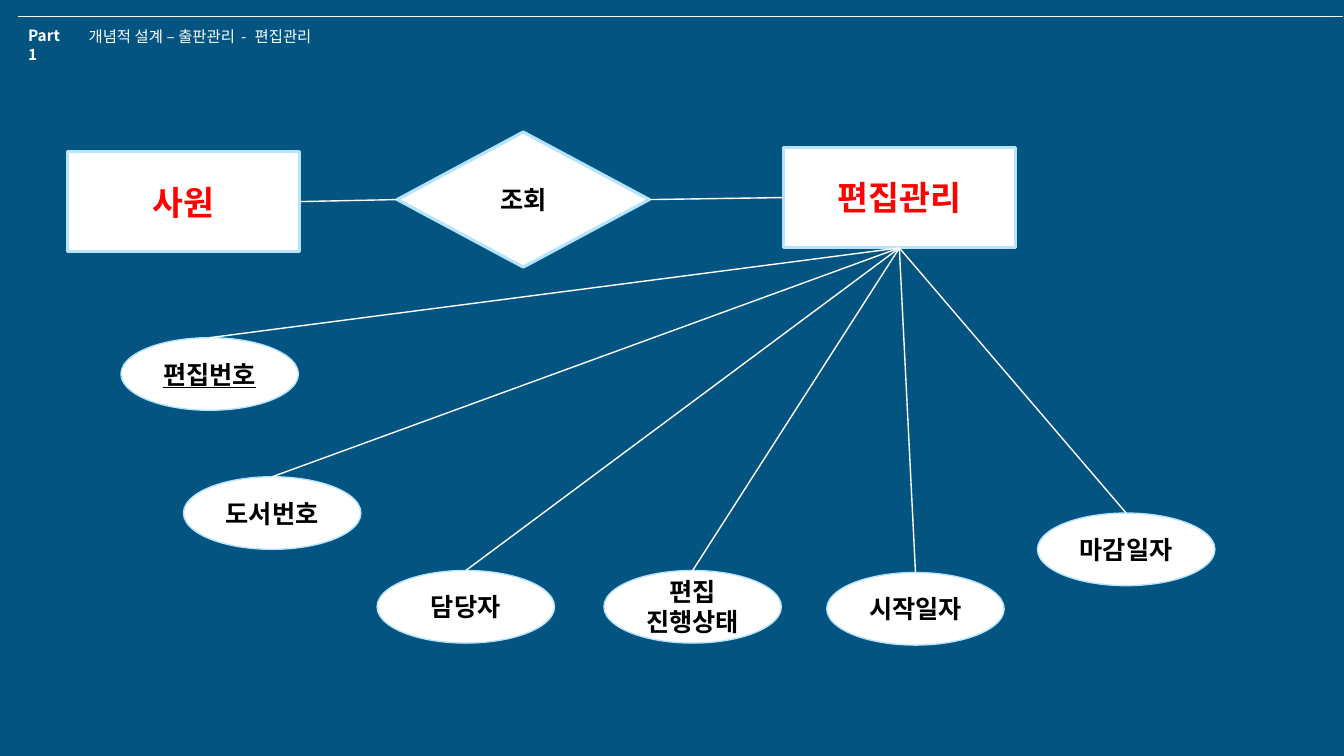
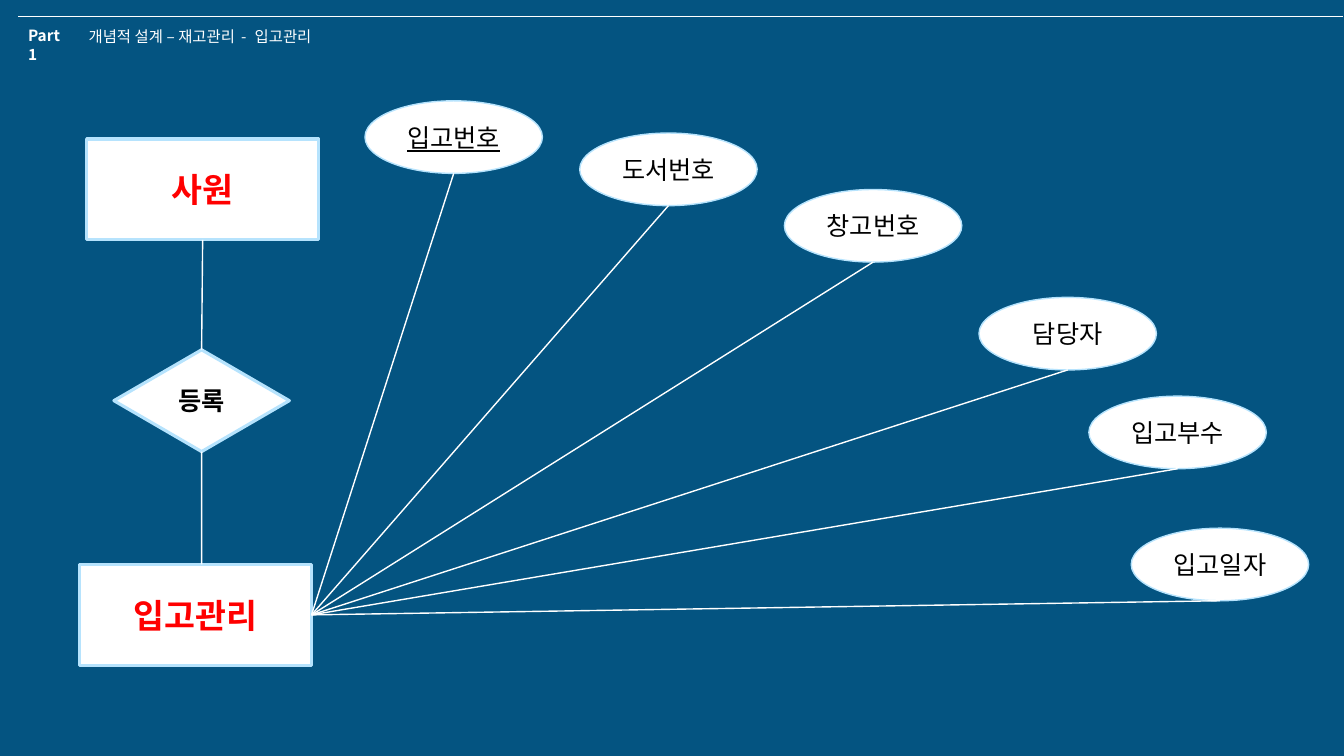
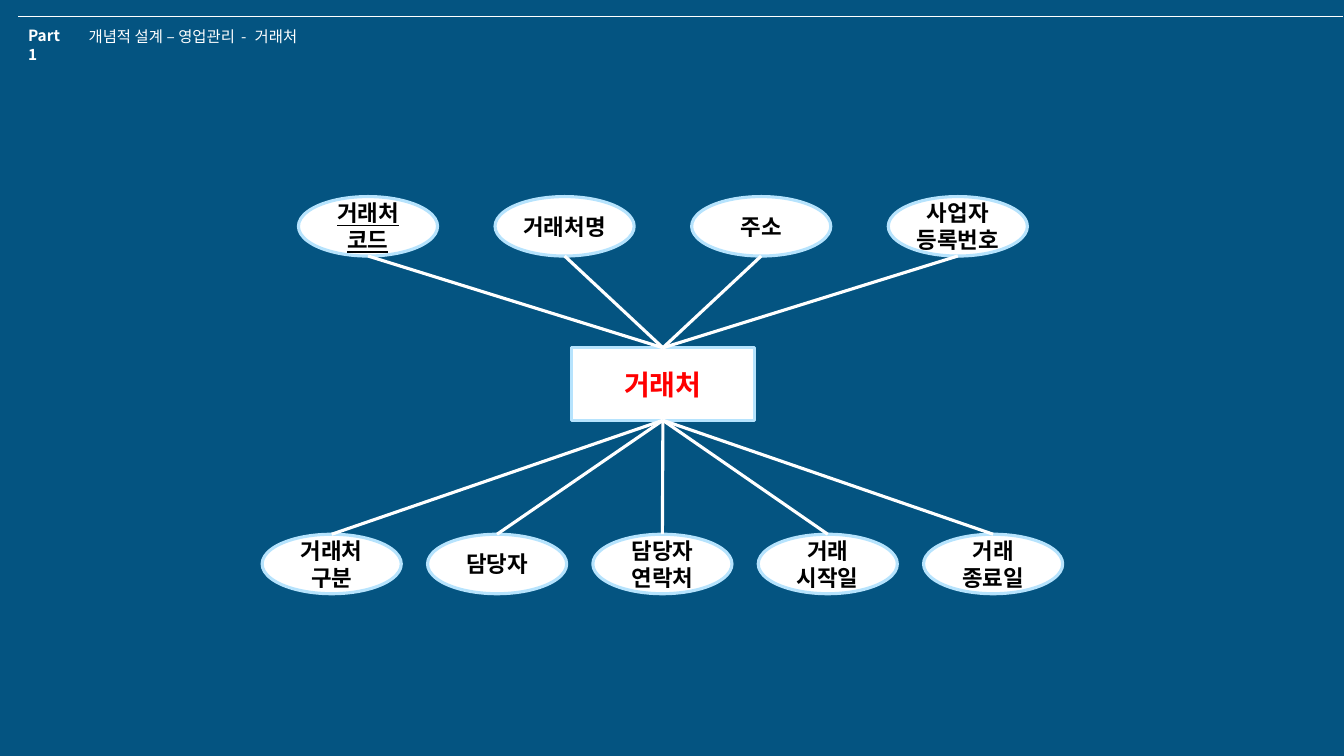
from lxml import etree
from pptx import Presentation
from pptx.dml.color import RGBColor
from pptx.enum.shapes import MSO_CONNECTOR, MSO_SHAPE
from pptx.enum.text import MSO_ANCHOR, PP_ALIGN
from pptx.oxml.ns import qn
from pptx.util import Inches, Pt

NAVY = RGBColor(0x04, 0x54, 0x81)
WHITE = RGBColor(0xFF, 0xFF, 0xFF)
SKY = RGBColor(0xB6, 0xE3, 0xFD)
RED = RGBColor(0xFF, 0x00, 0x00)
BLACK = RGBColor(0x00, 0x00, 0x00)
FONT = "Noto Sans CJK KR"

RECTANGLE = MSO_SHAPE.RECTANGLE
DIAMOND = MSO_SHAPE.FLOWCHART_DECISION
ELLIPSE = MSO_SHAPE.OVAL
STRAIGHT = MSO_CONNECTOR.STRAIGHT
CENTER = PP_ALIGN.CENTER
MIDDLE = MSO_ANCHOR.MIDDLE
TOP, LEFT, BOTTOM, RIGHT = range(4)


class Diagram:
    def __init__(self):
        self.deck = Presentation()
        self.deck.slide_width = Inches(13.33)
        self.deck.slide_height = Inches(7.5)
        self.page = None

    def start_page(self, area, topic):
        self.page = self.deck.slides.add_slide(self.deck.slide_layouts[6])
        fill = self.page.background.fill
        fill.solid()
        fill.fore_color.rgb = NAVY
        self.line((Inches(0.18), Inches(0.16)), (Inches(13.32), Inches(0.16)), 0.5)
        para = self.label(0.78, 0.22, 2.51)
        self.span(para, f"개념적 설계 – {area}", 11, WHITE)
        dash = self.span(para, " - ", 11, WHITE)
        dash._r.get_or_add_rPr().set("spc", "170")
        self.span(para, topic, 11, WHITE)
        self.span(self.label(0.18, 0.21, 0.61), "Part 1", 11, WHITE, bold=True)

    def label(self, left, top, width):
        box = self.page.shapes.add_textbox(
            Inches(left), Inches(top), Inches(width), Inches(0.29))
        box.text_frame.word_wrap = True
        return box.text_frame.paragraphs[0]

    def span(self, para, text, size, color, bold=False, underline=False):
        span = para.add_run()
        span.text = text
        font = span.font
        font.name = FONT
        font.size = Pt(size)
        font.bold = bold
        font.underline = underline
        font.color.rgb = color
        east_asian = etree.SubElement(span._r.get_or_add_rPr(), qn("a:ea"))
        east_asian.set("typeface", FONT)
        return span

    def node(self, kind, place, text, size, color=BLACK, border=2.25,
             bold=True, underline=False, inset=True):
        shape = self.page.shapes.add_shape(kind, *(Inches(n) for n in place))
        shape.shadow.inherit = False
        shape.fill.solid()
        shape.fill.fore_color.rgb = WHITE
        shape.line.color.rgb = SKY
        shape.line.width = Pt(border)
        frame = shape.text_frame
        frame.word_wrap = True
        frame.vertical_anchor = MIDDLE
        if not inset:
            frame.margin_left = frame.margin_right = 0
            frame.margin_top = frame.margin_bottom = 0
        for index, words in enumerate(text.split("\n")):
            para = frame.add_paragraph() if index else frame.paragraphs[0]
            para.alignment = CENTER
            self.span(para, words, size, color, bold, underline)
        return shape

    def entity(self, left, top, text):
        return self.node(RECTANGLE, (left, top, 2.3, 1), text, 24, RED)

    def relation(self, place, text):
        return self.node(DIAMOND, place, text, 18)

    def attributes(self, hub, hub_side, side, items, bold):
        for index, (left, top, text) in enumerate(items):
            ellipse = self.node(ELLIPSE, (left, top, 1.76, 0.72), text, 18,
                                border=1, bold=bold, underline=index == 0)
            self.connect(hub, hub_side, ellipse, side)

    def attribute_row(self, hub, hub_side, side, left, top, step, texts, key=None):
        for index, text in enumerate(texts):
            ellipse = self.node(ELLIPSE, (left + index * step, top, 1.38, 0.59),
                                text, 16, underline=text == key, inset=False)
            self.connect(hub, hub_side, ellipse, side, 2.25)

    def line(self, begin, end, width=1):
        line = self.page.shapes.add_connector(STRAIGHT, *begin, *end)
        line.line.color.rgb = WHITE
        line.line.width = Pt(width)
        etree.SubElement(line._element.spPr, qn("a:effectLst"))
        return line

    def side_point(self, shape, side):
        across = {LEFT: 0, RIGHT: shape.width}.get(side, shape.width // 2)
        down = {TOP: 0, BOTTOM: shape.height}.get(side, shape.height // 2)
        return shape.left + across, shape.top + down

    def connect(self, first, first_side, second, second_side, width=1):
        line = self.line(self.side_point(first, first_side),
                         self.side_point(second, second_side), width)
        line.begin_connect(first, first_side)
        if second.auto_shape_type != ELLIPSE:
            line.end_connect(second, second_side)


def editing_page(diagram):
    diagram.start_page("출판관리", "편집관리")
    staff = diagram.entity(0.67, 1.5, "사원")
    lookup = diagram.relation((3.94, 1.31, 2.5, 1.34), "조회")
    editing = diagram.entity(7.77, 1.46, "편집관리")
    diagram.connect(staff, RIGHT, lookup, LEFT)
    diagram.connect(lookup, RIGHT, editing, LEFT)
    diagram.attributes(editing, BOTTOM, TOP, [
        (1.2, 3.35, "편집번호"),
        (1.82, 4.73, "도서번호"),
        (3.74, 5.66, "담당자"),
        (5.99, 5.66, "편집\n진행상태"),
        (8.2, 5.68, "시작일자"),
        (10.29, 5.09, "마감일자"),
    ], bold=True)


def receiving_page(diagram):
    diagram.start_page("재고관리", "입고관리")
    staff = diagram.entity(0.86, 1.38, "사원")
    register = diagram.relation((1.13, 3.47, 1.74, 1.01), "등록")
    receiving = diagram.entity(0.79, 5.6, "입고관리")
    diagram.connect(staff, BOTTOM, register, TOP)
    stem = diagram.line(diagram.side_point(register, BOTTOM),
                        (Inches(2), receiving.top))
    stem.begin_connect(register, BOTTOM)
    diagram.attributes(receiving, RIGHT, BOTTOM, [
        (3.62, 1, "입고번호"),
        (5.75, 1.32, "도서번호"),
        (7.78, 1.88, "창고번호"),
        (9.71, 2.95, "담당자"),
        (10.8, 3.93, "입고부수"),
        (11.22, 5.24, "입고일자"),
    ], bold=False)


def client_page(diagram):
    diagram.start_page("영업관리", "거래처")
    client = diagram.node(RECTANGLE, (5.67, 3.45, 1.81, 0.72), "거래처", 20, RED,
                          inset=False)
    diagram.attribute_row(client, TOP, BOTTOM, 2.96, 1.95, 1.95, [
        "거래처\n코드", "거래처명", "주소", "사업자\n등록번호"], key="거래처\n코드")
    diagram.attribute_row(client, BOTTOM, TOP, 2.6, 5.3, 1.64, [
        "거래처\n구분", "담당자", "담당자\n연락처", "거래\n시작일", "거래\n종료일"])


def main():
    diagram = Diagram()
    editing_page(diagram)
    receiving_page(diagram)
    client_page(diagram)
    diagram.deck.save("out.pptx")


if __name__ == "__main__":
    main()
